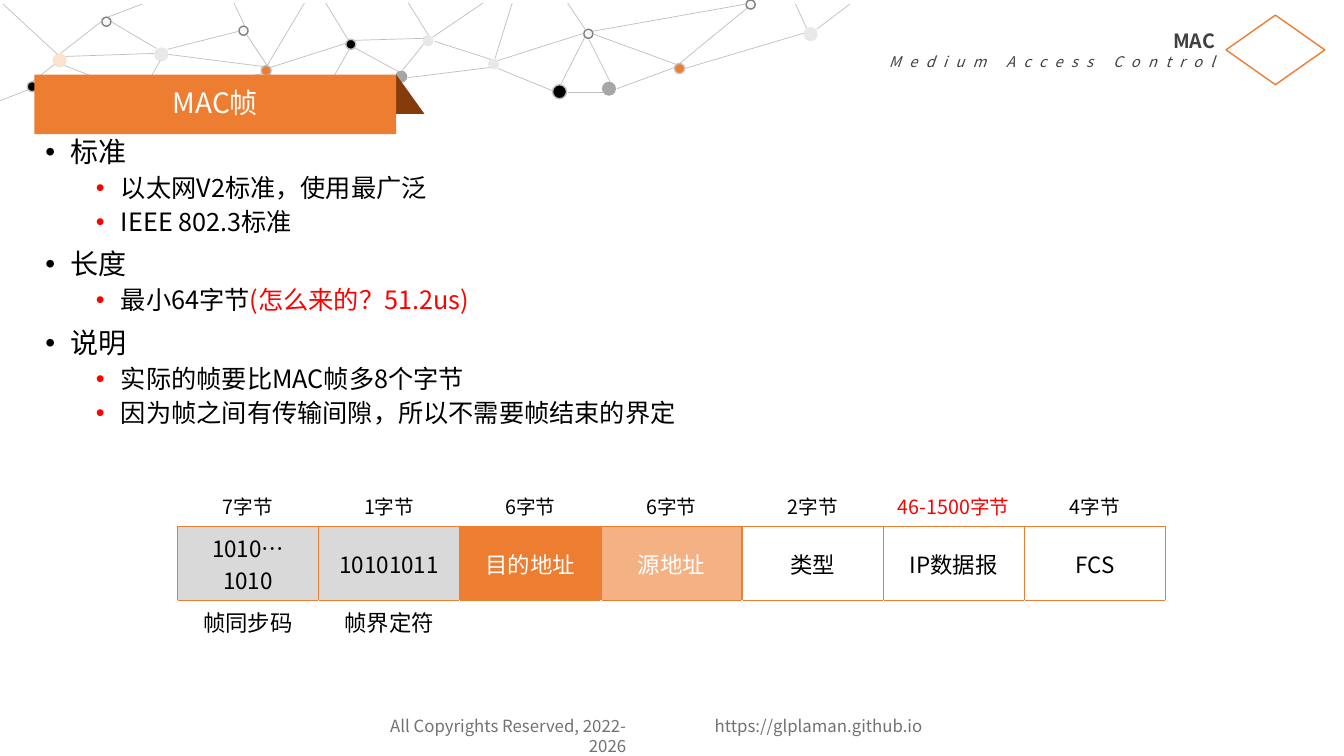
from pptx import Presentation
from pptx.dml.color import RGBColor
from pptx.enum.shapes import MSO_CONNECTOR, MSO_SHAPE
from pptx.enum.text import MSO_ANCHOR, MSO_AUTO_SIZE, PP_ALIGN
from pptx.oxml.ns import qn
from pptx.util import Pt
from lxml import etree

PX = 9144  # EMU per px, 100 px to the inch
FONT = "Noto Sans CJK SC"
ORANGE, GREY, BLACK, WHITE, RED = "ED7D31", "BFBFBF", "000000", "FFFFFF", "FF0000"
DARK, FOOTER_GREY = "404040", "767171"
STRAIGHT = MSO_CONNECTOR.STRAIGHT
ELLIPSE, FOLD, EMBLEM = MSO_SHAPE.OVAL, MSO_SHAPE.RIGHT_TRIANGLE, MSO_SHAPE.DIAMOND
LEFT, CENTER, RIGHT, JUSTIFY = PP_ALIGN.LEFT, PP_ALIGN.CENTER, PP_ALIGN.RIGHT, PP_ALIGN.JUSTIFY
MIDDLE, TOP, NO_AUTOFIT = MSO_ANCHOR.MIDDLE, MSO_ANCHOR.TOP, MSO_AUTO_SIZE.NONE

# Network nodes: (fill, opacity %, outline, [(left, top, diameter)])
NODES = [
    (ORANGE, 100, GREY, [(669, 63, 10), (259, 65, 10)]),
    ("A6A6A6", 100, None, [(597, 81, 14), (392, 70, 12)]),
    (BLACK, 100, GREY, [(343, 39, 10), (27, 81, 10), (548, 84, 14)]),
    ("F8CBAD", 57, None, [(52, 53, 14)]),
    ("A6A6A6", 25, None, [(153, 47, 14), (419, 35, 11), (484, 58, 11), (797, 27, 14)]),
    ("F7F7F7", 100, "808080", [(740, 0, 9), (579, 29, 9), (237, 26, 9), (101, 17, 9)]),
]
# Network links: (x1, y1, x2, y2)
LINKS = [
    (679, 68, 797, 33), (669, 67, 612, 88), (741, 8, 674, 63), (64, 65, 131, 91),
    (129, 100, 31, 91), (159, 60, 141, 92), (584, 39, 605, 81), (431, 41, 487, 59),
    (268, 67, 343, 43), (142, 97, 260, 73), (589, 34, 671, 64), (580, 37, 556, 84),
    (394, 80, 324, 95), (347, 48, 323, 90), (268, 74, 310, 94), (167, 54, 261, 66),
    (237, 31, 166, 49), (579, 33, 494, 60), (740, 4, 588, 31), (494, 68, 548, 90),
    (245, 35, 265, 65), (323, 3, 345, 39), (3, 4, 57, 54), (405, 77, 486, 67),
    (399, 70, 420, 44), (395, 71, 351, 47), (421, 38, 352, 40), (429, 37, 479, 3),
    (405, 3, 425, 35), (65, 56, 153, 53), (60, 53, 101, 21), (155, 48, 111, 22),
    (265, 65, 302, 3), (243, 26, 232, 3), (32, 81, 54, 64), (28, 89, 0, 100),
    (508, 3, 491, 58), (599, 92, 563, 92), (789, 4, 800, 28), (581, 30, 563, 3),
    (107, 17, 141, 4), (810, 29, 843, 4),
]
# Outline: (level, [(text, colour)])
OUTLINE = [
    (0, [("标准", BLACK)]),
    (1, [("以太网V2标准，使用最广泛", BLACK)]),
    (1, [("IEEE 802.3标准", BLACK)]),
    (0, [("长度", BLACK)]),
    (1, [("最小64字节", BLACK), ("(怎么来的？51.2us)", RED)]),
    (0, [("说明", BLACK)]),
    (1, [("实际的帧要比MAC帧多8个字节", BLACK)]),
    (1, [("因为帧之间有传输间隙，所以不需要帧结束的界定", BLACK)]),
]
# Frame fields: (length, length colour, content, content colour, fill, caption)
FIELDS = [
    ("7字节", BLACK, "1010…1010", BLACK, "D9D9D9", "帧同步码"),
    ("1字节", BLACK, "10101011", BLACK, "D9D9D9", "帧界定符"),
    ("6字节", BLACK, "目的地址", WHITE, ORANGE, ""),
    ("6字节", BLACK, "源地址", WHITE, "F4B183", ""),
    ("2字节", BLACK, "类型", BLACK, None, ""),
    ("46-1500字节", RED, "IP数据报", BLACK, None, ""),
    ("4字节", BLACK, "FCS", BLACK, None, ""),
]


def px(*lengths):
    return [length * PX for length in lengths]


def rgb(color):
    return RGBColor.from_string(color)


def style_run(run, size, color, bold=False, italic=False):
    run.font.size, run.font.bold, run.font.italic = Pt(size), bold, italic
    run.font.color.rgb = rgb(color)
    run.font.name = FONT
    etree.SubElement(run.font._element, qn("a:ea"), typeface=FONT)


def add_preset(slide, preset, box, fill=None, outline=None, opacity=100):
    shape = slide.shapes.add_shape(preset, *px(*box))
    shape.shadow.inherit = False
    if fill:
        shape.fill.solid()
        shape.fill.fore_color.rgb = rgb(fill)
    else:
        shape.fill.background()
    if outline:
        shape.line.color.rgb = rgb(outline)
        shape.line.width = Pt(1)
    else:
        shape.line.fill.background()
    if opacity < 100:
        color = shape.element.spPr.find(qn("a:solidFill"))[0]
        etree.SubElement(color, qn("a:alpha"), val=str(opacity * 1000))


def add_link(slide, ends):
    link = slide.shapes.add_connector(STRAIGHT, *px(*ends))
    link.line.color.rgb = rgb(GREY)
    link.line.width = Pt(0.5)
    etree.SubElement(link.element.spPr, qn("a:effectLst"))


def add_label(slide, box, lines, color, align, wrap):
    """Each line is (text, size, bold, italic, letter spacing in points)."""
    frame = slide.shapes.add_textbox(*px(*box)).text_frame
    frame.word_wrap = wrap
    for index, (text, size, bold, italic, spacing) in enumerate(lines):
        line = frame.add_paragraph() if index else frame.paragraphs[0]
        line.text = text
        line.alignment = align
        style_run(line.runs[0], size, color, bold, italic)
        if spacing:
            line.runs[0].font._element.set("spc", str(spacing * 100))


def place(placeholder, box, anchor):
    """Move a placeholder to the front and give back its text frame."""
    placeholder.left, placeholder.top, placeholder.width, placeholder.height = px(*box)
    placeholder.element.getparent().append(placeholder.element)
    frame = placeholder.text_frame
    frame.auto_size = NO_AUTOFIT
    frame.vertical_anchor = anchor
    return frame


def fill_outline(frame):
    for index, (level, parts) in enumerate(OUTLINE):
        item = frame.add_paragraph() if index else frame.paragraphs[0]
        item.level = level
        item.alignment = JUSTIFY
        item.line_spacing = 0.9
        item.space_before = Pt((5 if level else 10) if index else 0)
        props = item._p.get_or_add_pPr()
        props.set("marL", str((25 + 50 * level) * PX))
        props.set("indent", str(-25 * PX))
        bullet_color = etree.SubElement(props, qn("a:buClr"))
        etree.SubElement(bullet_color, qn("a:srgbClr"), val=RED if level else BLACK)
        etree.SubElement(props, qn("a:buFont"), typeface="Arial")
        etree.SubElement(props, qn("a:buChar"), char="•")
        for text, color in parts:
            run = item.add_run()
            run.text = text
            style_run(run, 18 if level else 20, color)


def fill_cell(cell, text, size, color, fill, sides):
    cell.vertical_anchor = MIDDLE
    for side in sides:
        border = etree.SubElement(cell._tc.get_or_add_tcPr(), qn("a:ln" + side), w=str(Pt(1)))
        paint = etree.SubElement(border, qn("a:solidFill"))
        etree.SubElement(paint, qn("a:srgbClr"), val=ORANGE)
    if fill:
        cell.fill.solid()
        cell.fill.fore_color.rgb = rgb(fill)
    else:
        cell.fill.background()
    if text:
        content = cell.text_frame.paragraphs[0]
        content.text = text
        content.alignment = CENTER
        style_run(content.runs[0], size, color)


def add_frame_table(slide):
    width, row_height = 140, 41
    box = px(176, 481, width * len(FIELDS), row_height * 3)
    table = slide.shapes.add_table(3, len(FIELDS), *box).table
    table.first_row = table.horz_banding = False
    for column, (length, length_color, content, color, fill, caption) in enumerate(FIELDS):
        fill_cell(table.cell(0, column), length, 14, length_color, None, "B")
        fill_cell(table.cell(1, column), content, 16, color, fill, "LRTB")
        fill_cell(table.cell(2, column), caption, 16, BLACK, None, "T")


def main():
    deck = Presentation()
    deck.slide_width, deck.slide_height = px(1333, 750)
    slide = deck.slides.add_slide(deck.slide_layouts[1])

    # Footer
    add_label(slide, (699, 705, 361, 30), [("https://glplaman.github.io", 12, False, False, 0)],
              FOOTER_GREY, LEFT, True)
    add_label(slide, (351, 705, 280, 30),
              [("All Copyrights Reserved, 2022-2026", 12, False, False, 0)],
              FOOTER_GREY, RIGHT, True)

    # Network ornament
    for fill, opacity, outline, spots in NODES:
        for left, top, diameter in spots:
            add_preset(slide, ELLIPSE, (left, top, diameter, diameter), fill, outline, opacity)
    for ends in LINKS:
        add_link(slide, ends)

    # Chapter heading with emblem
    add_preset(slide, EMBLEM, (1216, 15, 98, 69), outline=ORANGE)
    add_label(slide, (860, 24, 355, 51),
              [("MAC", 14, True, False, 0), ("Medium Access Control", 10.5, False, True, 6)],
              DARK, RIGHT, False)

    # Outline and title banner
    add_preset(slide, FOLD, (393, 74, 28, 39), "843C0B")
    fill_outline(place(slide.placeholders[1], (35, 132, 1264, 550), TOP))
    banner = slide.shapes.title
    banner.fill.solid()
    banner.fill.fore_color.rgb = rgb(ORANGE)
    heading = place(banner, (34, 74, 359, 59), MIDDLE).paragraphs[0]
    heading.text = "MAC帧"
    heading.alignment = CENTER
    heading.line_spacing = 0.9
    style_run(heading.runs[0], 20, WHITE)

    # MAC frame layout
    add_frame_table(slide)
    deck.save("out.pptx")


if __name__ == "__main__":
    main()
